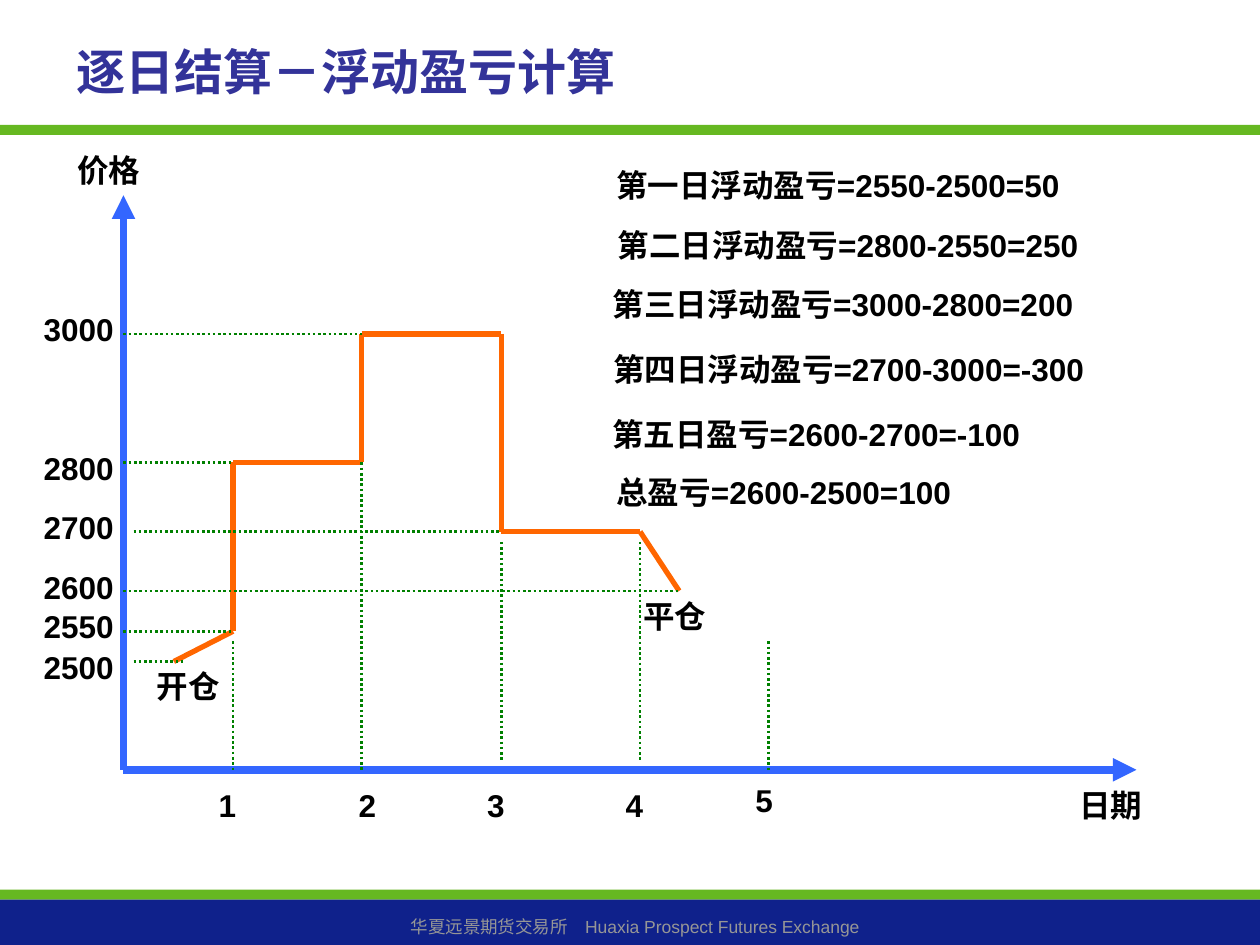
from lxml.etree import SubElement
from pptx import Presentation
from pptx.dml.color import RGBColor
from pptx.enum.dml import MSO_LINE
from pptx.enum.shapes import MSO_CONNECTOR, MSO_SHAPE
from pptx.enum.text import MSO_ANCHOR, PP_ALIGN
from pptx.oxml.ns import qn
from pptx.util import Inches, Pt

GREEN, NAVY, WHITE, BLACK, GREY = "66B821", "0F218B", "FFFFFF", "000000", "969696"
TITLE_BLUE, AXIS_BLUE, ORANGE, GUIDE_GREEN = "333399", "3366FF", "FF6600", "008000"

ORIGIN_X, ORIGIN_Y = 0.98, 6.11
DAY_X = {1: 1.85, 2: 2.87, 3: 3.98, 4: 5.08, 5: 6.1}
PRICE_Y = {2500: 5.25, 2550: 5.01, 2600: 4.69, 2700: 4.22, 2800: 3.67, 3000: 2.65}
OPEN_X, CLOSE_X = 1.38, 5.39


def color(hex_string):
    return RGBColor.from_string(hex_string)


class SlideBuilder:
    font_name = "Arial"

    def __init__(self, deck):
        self.page = deck.slides.add_slide(deck.slide_layouts[5])
        self.shapes = self.page.shapes

    def set_text(self, shape, text, size, hex_string, bold=True, align=PP_ALIGN.CENTER):
        frame = shape.text_frame
        frame.text = text
        frame.vertical_anchor = MSO_ANCHOR.MIDDLE
        para = frame.paragraphs[0]
        para.alignment = align
        for span in para.runs:
            span.font.name = self.font_name
            span.font.size = Pt(size)
            span.font.bold = bold
            span.font.color.rgb = color(hex_string)

    def title(self, text, left, top, width, height):
        box = self.shapes.title
        box.left, box.top = Inches(left), Inches(top)
        box.width, box.height = Inches(width), Inches(height)
        self.set_text(box, text, 28, TITLE_BLUE, align=PP_ALIGN.LEFT)

    def bar(self, left, top, width, height, fill):
        box = self.shapes.add_shape(MSO_SHAPE.RECTANGLE, Inches(left), Inches(top),
                                    Inches(width), Inches(height))
        box.shadow.inherit = False
        box.fill.solid()
        box.fill.fore_color.rgb = color(fill)
        box.line.fill.background()
        return box

    def label(self, text, left, top, width=0.39, height=0.24, align=PP_ALIGN.CENTER):
        box = self.bar(left, top, width, height, WHITE)
        self.set_text(box, text, 18, BLACK, align=align)
        box.text_frame.word_wrap = False

    def footer(self, text, left, top, width, height):
        box = self.shapes.add_textbox(Inches(left), Inches(top), Inches(width), Inches(height))
        box.text_frame.word_wrap = True
        self.set_text(box, text, 10, GREY, bold=False)

    def line(self, start, end, hex_string, width):
        connector = self.shapes.add_connector(
            MSO_CONNECTOR.STRAIGHT, *(Inches(value) for value in (*start, *end)))
        connector.line.color.rgb = color(hex_string)
        connector.line.width = Pt(width)
        SubElement(connector._element.spPr, qn("a:effectLst"))
        return connector

    def axis(self, end):
        arrow = self.line((ORIGIN_X, ORIGIN_Y), end, AXIS_BLUE, 4.5)
        outline = arrow._element.spPr.find(qn("a:ln"))
        SubElement(outline, qn("a:tailEnd"), type="triangle")

    def guide(self, start, end):
        self.line(start, end, GUIDE_GREEN, 1.5).line.dash_style = MSO_LINE.ROUND_DOT


def main():
    deck = Presentation()
    deck.slide_width, deck.slide_height = Inches(10), Inches(7.5)
    slide = SlideBuilder(deck)

    slide.bar(0, 7.06, 10, 0.08, GREEN)
    slide.bar(0, 0.99, 10, 0.08, GREEN)
    slide.bar(0, 7.14, 10, 0.36, NAVY)
    slide.footer("华夏远景期货交易所　Huaxia Prospect Futures Exchange", 0.08, 7.22, 9.92, 0.27)
    slide.title("逐日结算－浮动盈亏计算", 0.51, 0.21, 6.93, 0.71)

    slide.axis((ORIGIN_X, 1.55))
    slide.axis((9.02, ORIGIN_Y))

    # Each day the price moves to its settlement level, then holds to the next day.
    route = [(OPEN_X, PRICE_Y[2500]), (DAY_X[1], PRICE_Y[2550])]
    for day, price in ((1, 2800), (2, 3000), (3, 2700)):
        route += [(DAY_X[day], PRICE_Y[price]), (DAY_X[day + 1], PRICE_Y[price])]
    route.append((CLOSE_X, PRICE_Y[2600]))
    for start, end in zip(route, route[1:]):
        slide.line(start, end, ORANGE, 3)

    day_guides = {1: (5.09, ORIGIN_Y), 2: (PRICE_Y[2800], ORIGIN_Y), 3: (4.3, 6.03),
                  4: (4.3, 6.03), 5: (5.09, ORIGIN_Y)}
    for day, (top, bottom) in day_guides.items():
        slide.guide((DAY_X[day], top), (DAY_X[day], bottom))

    for day, left in enumerate((1.61, 2.72, 3.74, 4.84), start=1):
        slide.label(str(day), left, 6.27)
    slide.label("5", 5.87, 6.19, height=0.32)

    price_guides = {2500: (1.06, 1.46), 2550: (ORIGIN_X, DAY_X[1]),
                    2800: (ORIGIN_X, DAY_X[1]), 3000: (ORIGIN_X, DAY_X[2]),
                    2700: (1.06, DAY_X[3]), 2600: (ORIGIN_X, CLOSE_X)}
    for price, (left, right) in price_guides.items():
        slide.guide((left, PRICE_Y[price]), (right, PRICE_Y[price]))

    price_label_tops = {2500: 5.17, 2550: 4.85, 2600: 4.54, 2700: 4.06, 2800: 3.59, 3000: 2.49}
    for price, top in price_label_tops.items():
        slide.label(str(price), 0.43, top)

    slide.label("日期", 8.54, 6.27, width=0.55)
    slide.label("价格", 0.67, 1.23)

    calculations = [
        ("总盈亏=2600-2500=100", 4.37, 3.67, 3.7, 0.47),
        ("第一日浮动盈亏=2550-2500=50", 4.29, 1.31, 4.72, 0.32),
        ("第二日浮动盈亏=2800-2550=250", 4.37, 1.78, 4.72, 0.32),
        ("第三日浮动盈亏=3000-2800=200", 4.29, 2.25, 4.8, 0.32),
        ("第四日浮动盈亏=2700-3000=-300", 4.37, 2.73, 4.73, 0.39),
    ]
    for calculation in calculations:
        slide.label(*calculation)
    slide.label("第五日盈亏=2600-2700=-100", 4.76, 3.28, 4.72, 0.32, PP_ALIGN.LEFT)

    slide.label("开仓", 1.3, 5.32)
    slide.label("平仓", 5.16, 4.77)

    deck.save("out.pptx")


if __name__ == "__main__":
    main()
